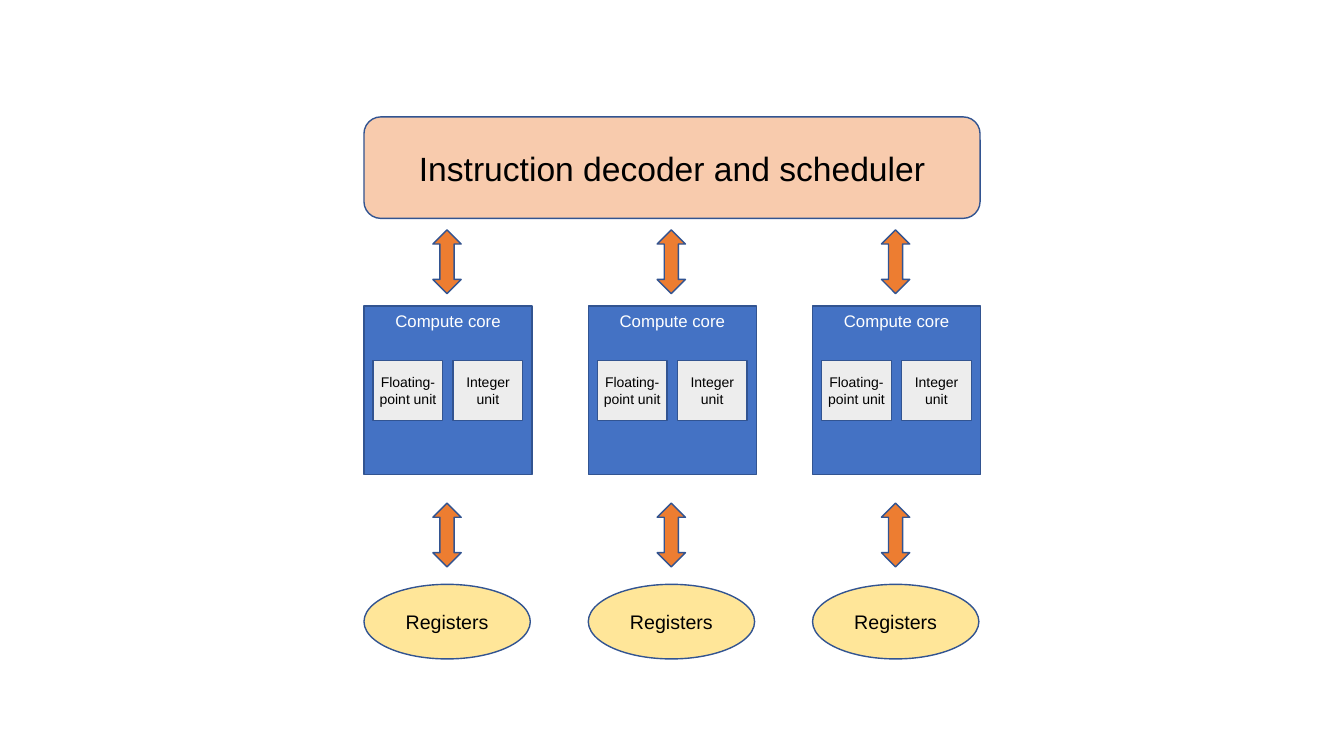
from pptx import Presentation
from pptx.dml.color import RGBColor
from pptx.enum.shapes import MSO_SHAPE as Shape
from pptx.enum.text import MSO_ANCHOR as Anchor, PP_ALIGN as Align
from pptx.util import Pt

# Columns, in points
COLUMN_LEFT = 260
COLUMN_PITCH = 160.2
COLUMNS = [COLUMN_LEFT + COLUMN_PITCH * index for index in range(3)]
CORE_SIZE = 120.2


def color(hex_string):
    return RGBColor.from_string(hex_string)


def write(shape, text, size=12, font="Arial", ink="000000",
          anchor=Anchor.MIDDLE, side_inset=7.2):
    frame = shape.text_frame
    frame.word_wrap = True
    frame.vertical_anchor = anchor
    frame.margin_left = frame.margin_right = Pt(side_inset)
    frame.margin_top = frame.margin_bottom = Pt(3.6)
    paragraph = frame.paragraphs[0]
    paragraph.alignment = Align.CENTER
    run = paragraph.add_run()
    run.text = text
    run.font.size = Pt(size)
    run.font.name = font
    run.font.color.rgb = color(ink)


class Diagram:
    outline = "325491"
    outline_width = 1
    scheduler_fill = "F8CBAD"
    core_fill = "4472C4"
    unit_fill = "EDEDED"
    register_fill = "FFE699"
    arrow_fill = "ED7D31"

    def __init__(self, slide):
        self.slide = slide

    def group(self):
        return self.slide.shapes.add_group_shape()

    def box(self, parent, kind, left, top, width, height, fill):
        shape = parent.shapes.add_shape(
            kind, Pt(left), Pt(top), Pt(width), Pt(height))
        shape.shadow.inherit = False
        shape.fill.solid()
        shape.fill.fore_color.rgb = color(fill)
        shape.line.color.rgb = color(self.outline)
        shape.line.width = Pt(self.outline_width)
        return shape

    def scheduler(self, text):
        width = COLUMNS[-1] + CORE_SIZE - COLUMN_LEFT - 0.5
        shape = self.box(self.slide, Shape.ROUNDED_RECTANGLE,
                         COLUMN_LEFT, 83.5, width, 72.5, self.scheduler_fill)
        write(shape, text, size=24)

    def core(self, parent, left, text, units):
        shape = self.box(parent, Shape.RECTANGLE, left, 218.7,
                         CORE_SIZE, CORE_SIZE, self.core_fill)
        write(shape, text, ink="FFFFFF", anchor=Anchor.TOP)
        for index, unit in enumerate(units):
            shape = self.box(parent, Shape.RECTANGLE, left + 6.5 + 57.2 * index,
                             257.6, 49.7, 42.9, self.unit_fill)
            write(shape, unit, size=10, side_inset=2.9)

    def registers(self, parent, left, text):
        shape = self.box(parent, Shape.OVAL, left, 417.4, 118.8, 53.3,
                         self.register_fill)
        write(shape, text, size=14)

    def arrow(self, left, top):
        self.box(self.slide, Shape.UP_DOWN_ARROW, left + 49.2, top, 20.2, 45.5,
                 self.arrow_fill)


def main():
    presentation = Presentation()
    presentation.slide_width = Pt(960)
    presentation.slide_height = Pt(540)
    blank_layout = presentation.slide_layouts[6]
    diagram = Diagram(presentation.slides.add_slide(blank_layout))

    # Scheduler across all columns
    diagram.scheduler("Instruction decoder and scheduler")

    # Compute cores
    cores = diagram.group()
    for left in COLUMNS:
        diagram.core(cores, left, "Compute core",
                     ["Floating-point unit", "Integer unit"])

    # Registers
    registers = diagram.group()
    for left in COLUMNS:
        diagram.registers(registers, left, "Registers")

    # Arrows above and below the cores
    for top in (164.2, 359.4):
        for left in COLUMNS:
            diagram.arrow(left, top)

    presentation.save("out.pptx")


if __name__ == "__main__":
    main()
